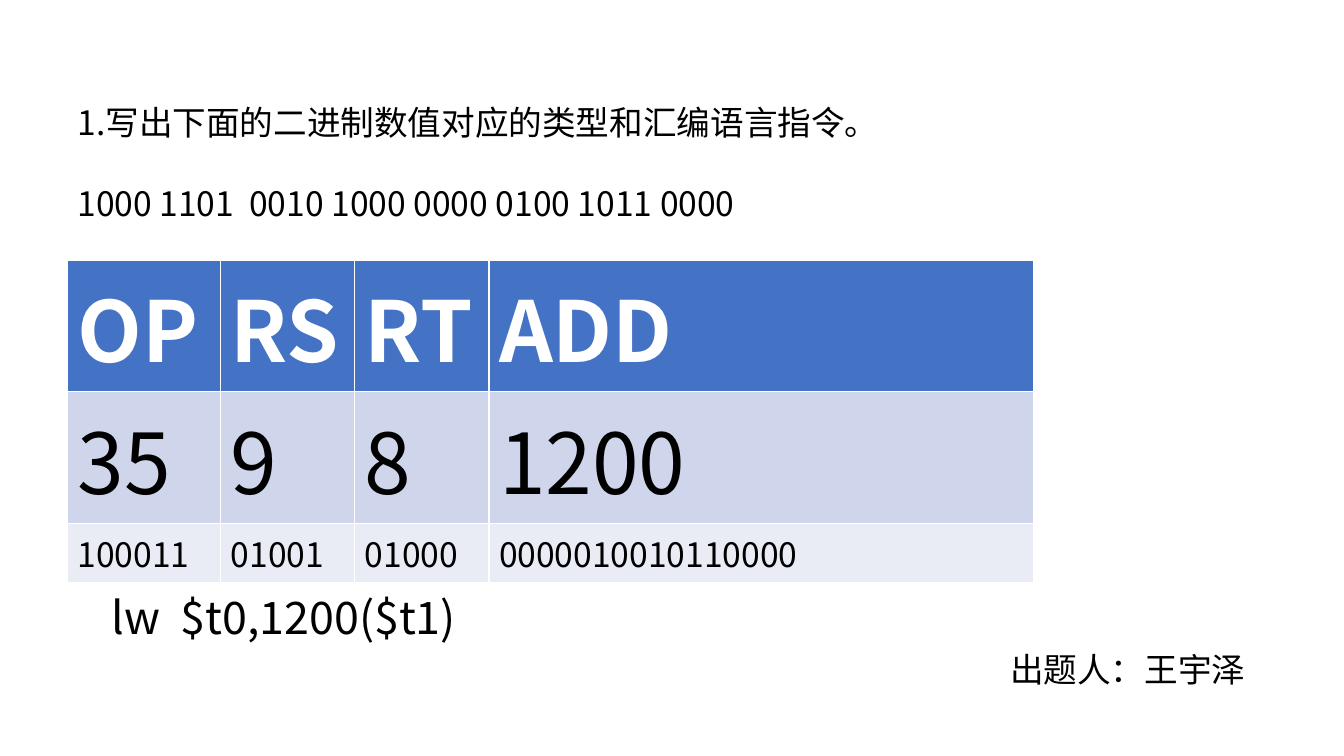
from pptx import Presentation
from pptx.dml.color import RGBColor
from pptx.enum.text import MSO_AUTO_SIZE
from pptx.oxml.ns import qn
from pptx.util import Inches, Pt
from lxml.etree import SubElement

FONT = "Noto Sans CJK SC"
BLACK = RGBColor(0x00, 0x00, 0x00)
WHITE = RGBColor(0xFF, 0xFF, 0xFF)
BLUE = RGBColor(0x44, 0x72, 0xC4)
PALE_BLUE = RGBColor(0xCF, 0xD5, 0xEA)
PALE_GREY = RGBColor(0xE9, 0xEB, 0xF5)

QUESTION = ["1.写出下面的二进制数值对应的类型和汇编语言指令。",
            "1000 1101  0010 1000 0000 0100 1011 0000"]
ANSWER = ["lw  $t0,1200($t1)"]
AUTHOR = ["出题人:王宇泽".replace(":", "\uff1a")]
TEXTS = [
    (QUESTION, (0.67, 0.96, 8.19, 1.62), 24, 29),
    (ANSWER, (1.01, 5.8, 6.62, 0.64), 32, 0),
    (AUTHOR, (9.92, 6.39, 2.75, 0.5), 24, 0),
]
COLUMN_WIDTHS = [1.52, 1.33, 1.33, 5.4]
FIELD_ROWS = [
    (["OP", "RS", "RT", "ADD"], 1.1, BLUE, dict(size=60, color=WHITE, bold=True)),
    (["35", "9", "8", "1200"], 1.1, PALE_BLUE, dict(size=60)),
    (["100011", "01001", "01000", "0000010010110000"], 0.5, PALE_GREY, dict(size=24)),
]


def write(p, text, size=24, color=BLACK, bold=False):
    """Add a formatted run to a paragraph."""
    r = p.add_run()
    r.text = text
    r.font.name, r.font.size, r.font.bold = FONT, Pt(size), bold
    r.font.color.rgb = color
    SubElement(r.font._element, qn("a:ea"), typeface=FONT)


prs = Presentation()
prs.slide_width, prs.slide_height = Inches(13.33), Inches(7.5)
s = prs.slides.add_slide(prs.slide_layouts[6])

for lines, box, size, gap in TEXTS:
    tf = s.shapes.add_textbox(*map(Inches, box)).text_frame
    tf.word_wrap = True
    tf.auto_size = MSO_AUTO_SIZE.NONE
    for i, line in enumerate(lines):
        p = tf.paragraphs[0] if i == 0 else tf.add_paragraph()
        p.space_before = Pt(gap if i else 0)
        write(p, line, size=size)

table = s.shapes.add_table(len(FIELD_ROWS), len(COLUMN_WIDTHS), Inches(0.67), Inches(2.58),
                           Inches(sum(COLUMN_WIDTHS)), Inches(2.7)).table
for column, width in zip(table.columns, COLUMN_WIDTHS):
    column.width = Inches(width)
for row, (values, height, fill, style) in zip(table.rows, FIELD_ROWS):
    row.height = Inches(height)
    for cell, value in zip(row.cells, values):
        cell.fill.solid()
        cell.fill.fore_color.rgb = fill
        write(cell.text_frame.paragraphs[0], value, **style)

prs.save("out.pptx")
